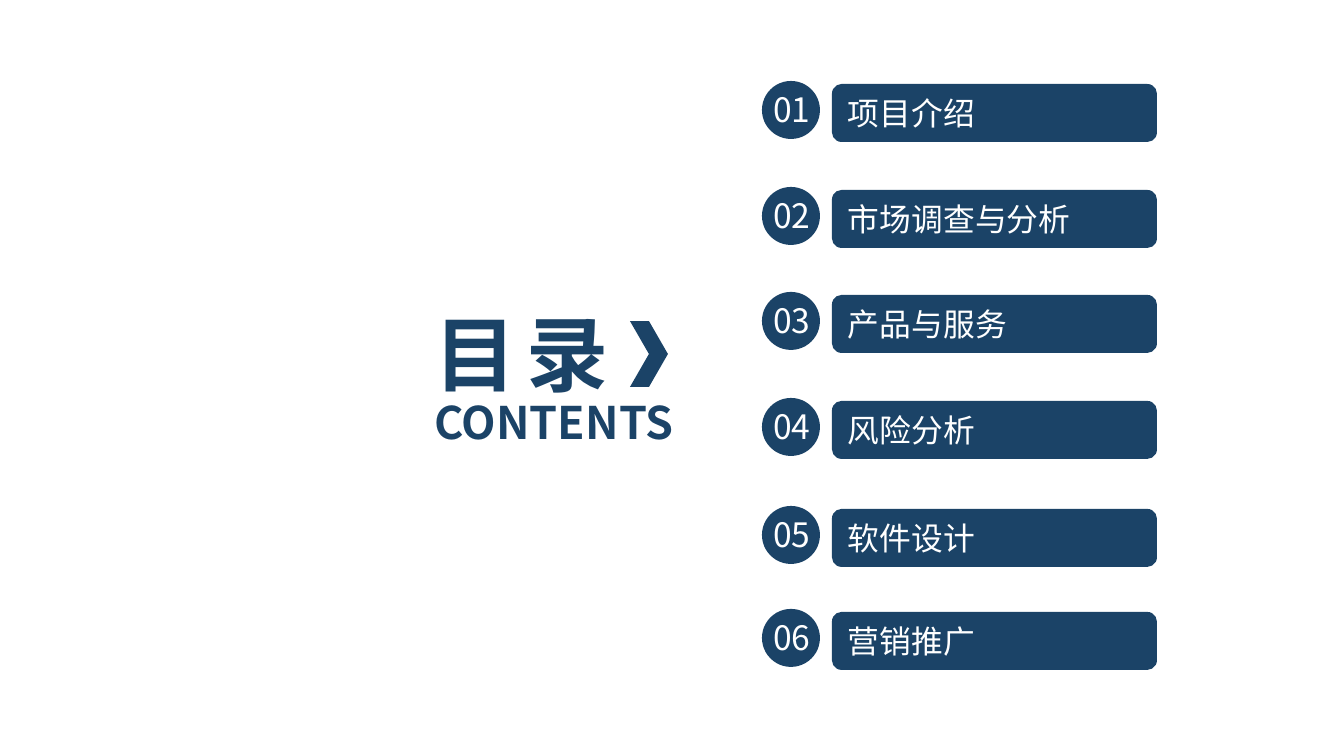
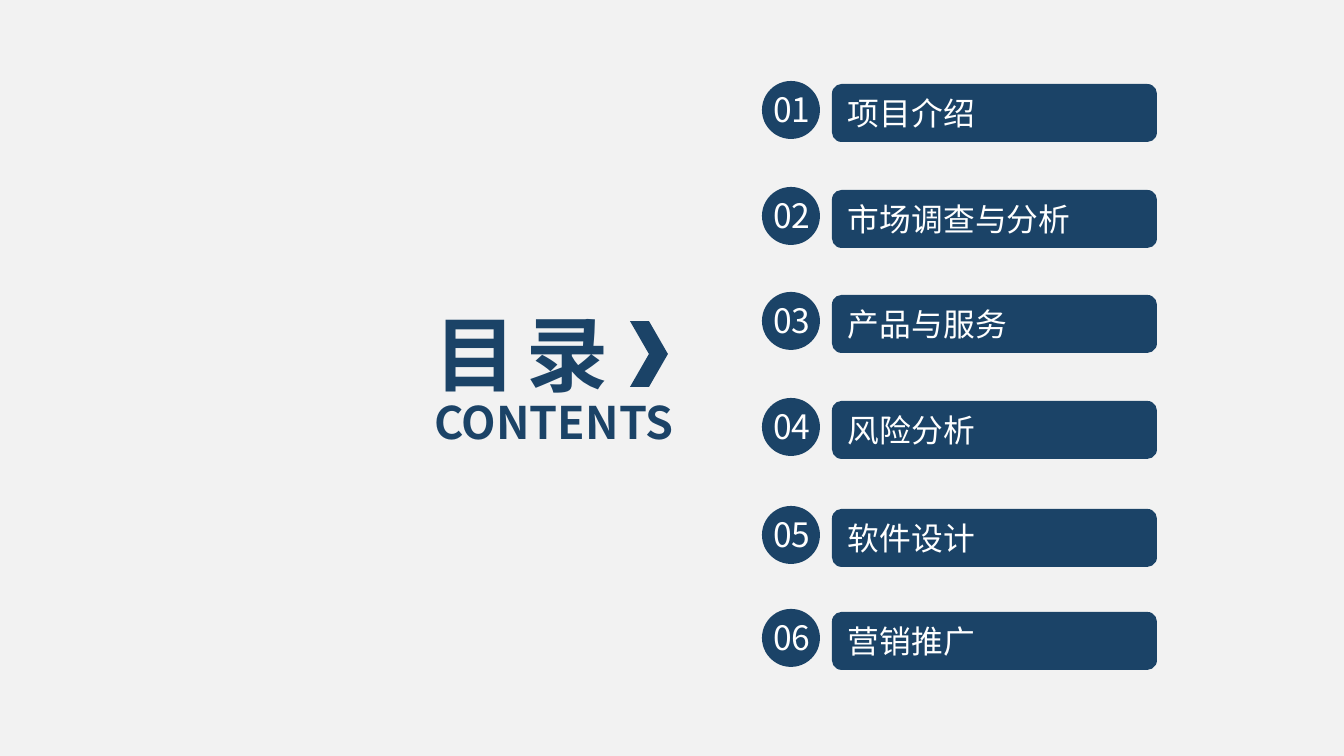
from dataclasses import dataclass

from lxml import etree
from pptx import Presentation
from pptx.dml.color import RGBColor
from pptx.enum.shapes import MSO_SHAPE as Preset
from pptx.enum.text import MSO_ANCHOR as Anchor, MSO_AUTO_SIZE as AutoSize, PP_ALIGN as Align
from pptx.oxml.ns import qn
from pptx.util import Emu, Pt

SLIDE_WIDTH, SLIDE_HEIGHT = 1344, 756
TITLE_ONLY = 5


@dataclass(frozen=True)
class Theme:
    font: str = "Noto Sans CJK SC"
    navy: str = "1B4367"
    white: str = "FFFFFF"
    grey: str = "F2F2F2"
    title_size: int = 44
    subtitle_size: int = 24
    number_size: int = 18
    chapter_size: int = 17
    title_spacing: int = -220  # hundredths of a point


THEME = Theme()

CHAPTERS = ["项目介绍", "市场调查与分析", "产品与服务", "风险分析", "软件设计", "营销推广"]
ROW_TOPS = [0, 106, 211, 317, 425, 528]  # relative to the list
HEADING_BOX = (421, 296, 316, 159)
LIST_BOX = (757, 81, 400, 589)
BACKGROUNDS = [THEME.white, THEME.grey]


def px(length):
    return Emu(round(length * 9144000 / SLIDE_WIDTH))


def frame(left, top, width, height):
    return [px(length) for length in (left, top, width, height)]


def write(shape, text, size, color, align=Align.LEFT, bold=False, spacing=None):
    """Put one formatted line into a shape."""
    text_frame = shape.text_frame
    frame_format = {"word_wrap": True, "auto_size": AutoSize.NONE,
                    "vertical_anchor": Anchor.MIDDLE}
    for name, value in frame_format.items():
        setattr(text_frame, name, value)
    paragraph = text_frame.paragraphs[0]
    paragraph.alignment = align
    run = paragraph.add_run()
    run.text = text
    for name, value in {"name": THEME.font, "size": Pt(size), "bold": bold}.items():
        setattr(run.font, name, value)
    run.font.color.rgb = RGBColor.from_string(color)
    properties = run.font._element
    etree.SubElement(properties, qn("a:ea")).set("typeface", THEME.font)
    if spacing is not None:
        properties.set("spc", str(spacing))


def add_navy_shape(shapes, preset, *box):
    shape = shapes.add_shape(preset, *frame(*box))
    shape.shadow.inherit = False
    shape.fill.solid()
    shape.fill.fore_color.rgb = RGBColor.from_string(THEME.navy)
    shape.line.fill.background()
    return shape


def add_heading(slide, left, top, width, height):
    # Title
    title = slide.shapes.title
    position = frame(left, top, width, 113)
    for name, value in zip(("left", "top", "width", "height"), position):
        setattr(title, name, value)
    write(title, "目 录", THEME.title_size, THEME.navy, bold=True,
          spacing=THEME.title_spacing)
    # Subtitle and chevron
    subtitle = slide.shapes.add_textbox(*frame(left, top + height - 67, width - 6, 67))
    write(subtitle, "CONTENTS", THEME.subtitle_size, THEME.navy, bold=True)
    add_navy_shape(slide.shapes, Preset.CHEVRON, left + 209, top + 25, 38, 66)


def add_chapter(slide, number, chapter, left, top, width):
    # Title bar
    bar = add_navy_shape(slide.shapes, Preset.ROUNDED_RECTANGLE,
                         left + 75, top + 3, width - 75, 58)
    write(bar, chapter, THEME.chapter_size, THEME.white)
    # Number badge
    badge = slide.shapes.add_group_shape()
    add_navy_shape(badge.shapes, Preset.OVAL, left + 5, top, 58, 58)
    label = badge.shapes.add_textbox(*frame(left, top + 1, 70, 54))
    write(label, f"{number:02d}", THEME.number_size, THEME.white, Align.CENTER)


def add_chapter_list(slide, left, top, width, height):
    for number, (chapter, row_top) in enumerate(zip(CHAPTERS, ROW_TOPS), start=1):
        add_chapter(slide, number, chapter, left, top + row_top, width)


def add_contents_slide(presentation, background):
    slide = presentation.slides.add_slide(presentation.slide_layouts[TITLE_ONLY])
    slide.background.fill.solid()
    slide.background.fill.fore_color.rgb = RGBColor.from_string(background)
    add_heading(slide, *HEADING_BOX)
    add_chapter_list(slide, *LIST_BOX)


def main():
    presentation = Presentation()
    presentation.slide_width = px(SLIDE_WIDTH)
    presentation.slide_height = px(SLIDE_HEIGHT)
    for background in BACKGROUNDS:
        add_contents_slide(presentation, background)
    presentation.save("out.pptx")


if __name__ == "__main__":
    main()
